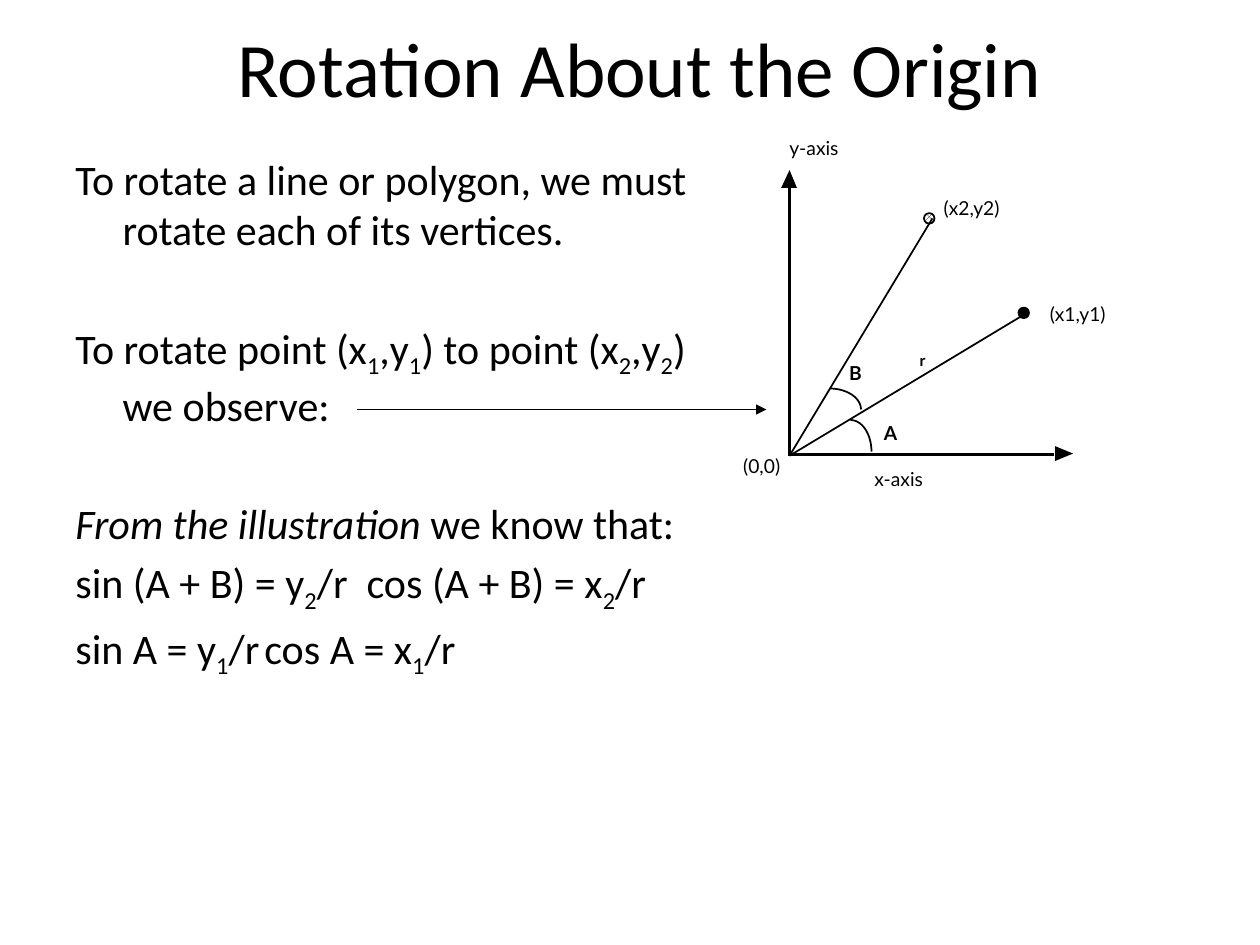
import math
from dataclasses import dataclass

from lxml import etree
from pptx import Presentation
from pptx import util as u
from pptx.dml.color import RGBColor
from pptx.enum import dml, shapes, text
from pptx.oxml.ns import qn


@dataclass(frozen=True)
class Theme:
    ink: RGBColor = RGBColor(0, 0, 0)
    paper: RGBColor = RGBColor(255, 255, 255)
    body_font: str = "Calibri"
    label_font: str = "Lato"
    title_size: float = 44
    body_size: float = 24
    label_size: float = 11
    radius_size: float = 9
    thin: float = 1
    thick: float = 2
    gap: float = 4.8
    section_gap: float = 38.9


THEME = Theme()
WIDTH, HEIGHT = u.Inches(10), u.Inches(7.5)
COLUMNS = 120
CELL = WIDTH // COLUMNS
ORIGIN = (75.2, 43.4)


def grid(*cells):
    return [u.Emu(round(cell * CELL)) for cell in cells]


def style_font(font, name, size, bold=False):
    font.name = name
    font.size = u.Pt(size)
    font.bold = bold
    font.color.rgb = THEME.ink


def style_line(line, weight):
    line.color.rgb = THEME.ink
    line.width = u.Pt(weight)


def set_title(slide, wording, box):
    title = slide.shapes.title
    title.left, title.top, title.width, title.height = grid(*box)
    title.text_frame.vertical_anchor = text.MSO_ANCHOR.MIDDLE
    heading = title.text_frame.paragraphs[0]
    heading.text = wording
    heading.alignment = text.PP_ALIGN.CENTER
    style_font(heading.font, THEME.body_font, THEME.title_size)


def add_run(paragraph, wording, subscript=False, italic=False):
    run = paragraph.add_run()
    run.text = wording
    if italic:
        run.font.italic = True
    if subscript:
        run._r.get_or_add_rPr().set("baseline", "-25000")


def add_math(paragraph, wording):
    first, *rest = wording.split("_")
    add_run(paragraph, first)
    for piece in rest:
        add_run(paragraph, piece[0], subscript=True)
        if piece[1:]:
            add_run(paragraph, piece[1:])


def start_paragraph(paragraph, space_before, hang=0, tab=None):
    paragraph.space_before = u.Pt(space_before)
    style_font(paragraph.font, THEME.body_font, THEME.body_size)
    properties = paragraph._p.get_or_add_pPr()
    indent = grid(hang)[0]
    properties.set("marL", str(indent))
    properties.set("indent", str(-indent))
    if tab:
        stops = etree.Element(qn("a:tabLst"))
        etree.SubElement(stops, qn("a:tab"), pos=str(grid(tab)[0]), algn="l")
        properties.find(qn("a:defRPr")).addprevious(stops)


def add_explanation(slide, box):
    frame = slide.shapes.add_textbox(*grid(*box)).text_frame
    frame.word_wrap = True
    rows = [
        ("", "To rotate a line or polygon, we must rotate each of its vertices.",
         THEME.gap, 4.5, None),
        ("", "To rotate point (x_1,y_1) to point (x_2,y_2) we observe:",
         THEME.section_gap, 4.5, None),
        ("From the illustration ", "we know that:", THEME.section_gap, 4.5, None),
        ("", "sin (A + B) = y_2/r  cos (A + B) = x_2/r", THEME.gap, 0, None),
        ("", "sin A = y_1/r\tcos A = x_1/r", THEME.gap, 0, 33.9),
    ]
    for index, (emphasis, wording, space, hang, tab) in enumerate(rows):
        paragraph = frame.add_paragraph() if index else frame.paragraphs[0]
        start_paragraph(paragraph, space, hang, tab)
        if emphasis:
            add_run(paragraph, emphasis, italic=True)
        add_math(paragraph, wording)


def add_label(slide, wording, left, top, width, height=3.4,
              size=THEME.label_size, bold=False):
    frame = slide.shapes.add_textbox(*grid(left, top, width, height)).text_frame
    frame.word_wrap = False
    frame.auto_size = text.MSO_AUTO_SIZE.SHAPE_TO_FIT_TEXT
    label = frame.paragraphs[0]
    label.text = wording
    style_font(label.font, THEME.label_font, size, bold)


def add_line(slide, start, end, weight=THEME.thin, arrow=False):
    connector = slide.shapes.add_connector(
        shapes.MSO_CONNECTOR.STRAIGHT, *grid(*start, *end))
    style_line(connector.line, weight)
    if arrow:
        etree.SubElement(connector.line._get_or_add_ln(), qn("a:tailEnd"), type="triangle")
    etree.SubElement(connector._element.spPr, qn("a:effectLst"))


def add_outline(slide, points, closed):
    start, *rest = [grid(*point) for point in points]
    builder = slide.shapes.build_freeform(*start)
    builder.add_line_segments(rest, close=closed)
    outline = builder.convert_to_shape()
    outline.shadow.inherit = False
    return outline


def add_arrowhead(slide, points):
    head = add_outline(slide, points, True)
    head.fill.solid()
    head.fill.fore_color.rgb = THEME.ink
    head.line.fill.background()


def add_quarter_arc(slide, center, radii, steps=24):
    angles = [math.pi / 2 * (1 - step / steps) for step in range(steps + 1)]
    points = [(center[0] + radii[0] * math.cos(angle),
               center[1] - radii[1] * math.sin(angle)) for angle in angles]
    arc = add_outline(slide, points, False)
    arc.fill.background()
    style_line(arc.line, THEME.thin)


def add_point(slide, left, top, hatched=False):
    point = slide.shapes.add_shape(shapes.MSO_SHAPE.OVAL, *grid(left, top, 1, 1))
    point.shadow.inherit = False
    if hatched:
        point.fill.patterned()
        point.fill.pattern = dml.MSO_PATTERN.PERCENT_50
        point.fill.back_color.rgb = THEME.paper
    else:
        point.fill.solid()
    point.fill.fore_color.rgb = THEME.ink
    style_line(point.line, THEME.thin)


def add_diagram(slide):
    add_arrowhead(slide, [(74.4, 17.9), (75.9, 17.9), (75.2, 16.2)])
    add_line(slide, (75.2, 17.8), (75.2, 43.2), THEME.thick)
    add_arrowhead(slide, [(100.5, 43.9), (100.5, 42.5), (102.2, 43.2)])
    add_line(slide, (100.4, 43.3), (75, 43.3), THEME.thick)

    add_point(slide, 97, 29.3)
    add_line(slide, (97.8, 29.8), ORIGIN)
    add_point(slide, 88, 20.3, hatched=True)
    add_line(slide, ORIGIN, (88.8, 20.8))
    add_quarter_arc(slide, (79, 39), (3, 2))
    add_quarter_arc(slide, (81, 43), (2, 3))

    for wording, left, top, width in [
        ("x-axis", 82.1, 43.9, 7.4),
        ("y-axis", 74, 12.4, 7.4),
        ("(0,0)", 69.6, 42.7, 7.1),
        ("(x1,y1)", 98.8, 28.2, 9.1),
        ("(x2,y2)", 88.7, 18.1, 9.1),
    ]:
        add_label(slide, wording, left, top, width)
    add_label(slide, "A", 83, 39.5, 3.7, bold=True)
    add_label(slide, "B", 79.7, 33.8, 3.6, bold=True)
    add_label(slide, "r", 86.4, 32.8, 3, 3, THEME.radius_size, bold=True)


def main():
    deck = Presentation()
    deck.slide_width, deck.slide_height = WIDTH, HEIGHT
    slide = deck.slides.add_slide(deck.slide_layouts[5])
    set_title(slide, "Rotation About the Origin", (9, 0, 103.9, 12.7))
    add_explanation(slide, (6, 14, 65, 69))
    add_diagram(slide)
    add_line(slide, (34, 39), (73, 39), arrow=True)
    deck.save("out.pptx")


if __name__ == "__main__":
    main()
